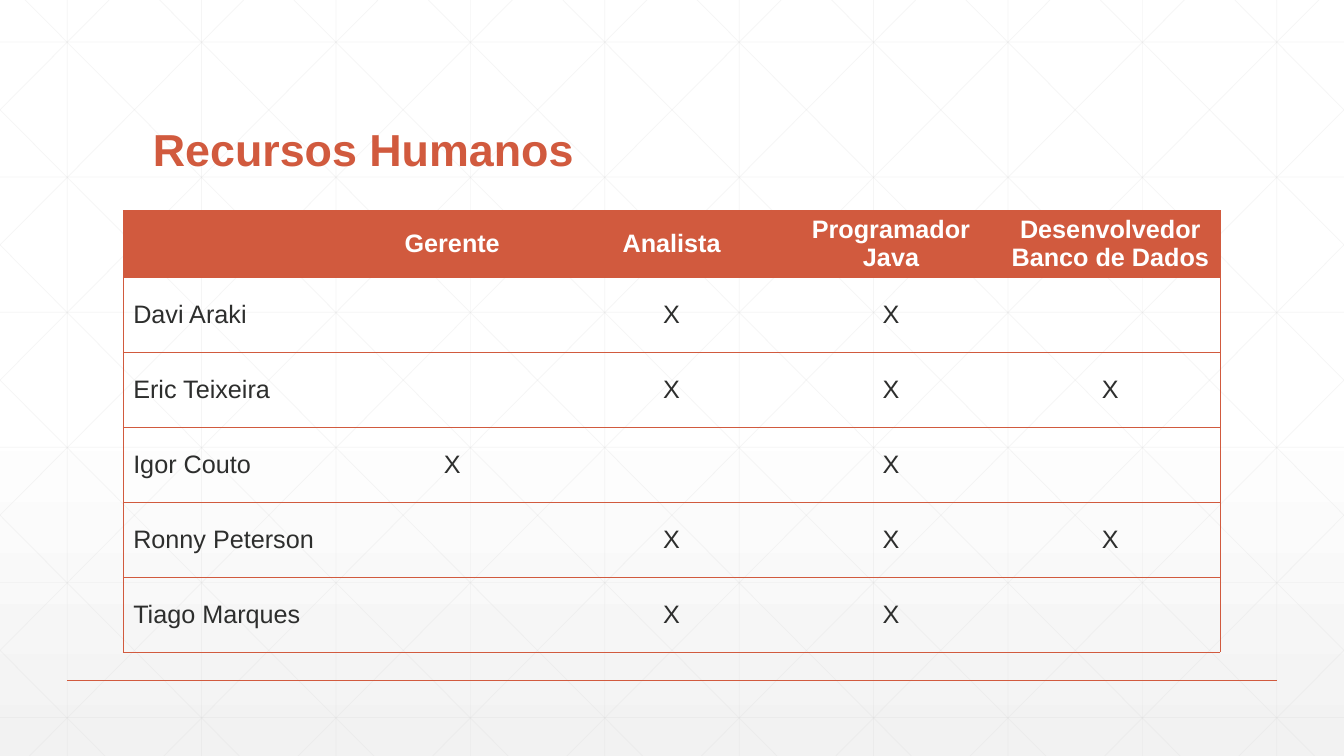
import pptx
import pptx.dml.color
import pptx.enum.shapes
import pptx.enum.text
import pptx.oxml
import pptx.oxml.ns
import pptx.util

Pt = pptx.util.Pt
RGB = pptx.dml.color.RGBColor
ALIGN = pptx.enum.text.PP_ALIGN
ANCHOR = pptx.enum.text.MSO_ANCHOR
qn = pptx.oxml.ns.qn

RUST = RGB(0xD1, 0x5A, 0x3E)
INK = RGB(0x2D, 0x2E, 0x2D)
WHITE = RGB(0xFF, 0xFF, 0xFF)
PALE = RGB(0xF2, 0xF2, 0xF2)
GRAY = RGB(0xD9, 0xD9, 0xD9)

WIDTH, HEIGHT = 960, 540
STEP = 96
PLAIN = "{2D5ABB26-0587-4C30-8999-92F81FD0307C}"  # no style, no grid

ROWS = [
    ["", "Gerente", "Analista", "Programador Java",
     "Desenvolvedor\nBanco de Dados"],
    ["Davi Araki", "", "X", "X", ""],
    ["Eric Teixeira", "", "X", "X", "X"],
    ["Igor Couto", "X", "", "X", ""],
    ["Ronny Peterson", "", "X", "X", "X"],
    ["Tiago Marques", "", "X", "X", ""],
]


def add_line(slide, x1, y1, x2, y2, color, width, alpha=None):
    line = slide.shapes.add_connector(
        pptx.enum.shapes.MSO_CONNECTOR.STRAIGHT,
        Pt(x1), Pt(y1), Pt(x2), Pt(y2))
    line.line.color.rgb = color
    line.line.width = Pt(width)
    props = line._element.spPr
    if alpha:
        tone = next(props.iter(qn("a:srgbClr")))
        tone.append(pptx.oxml.parse_xml(
            f'<a:alpha {pptx.oxml.ns.nsdecls("a")} val="{alpha * 1000}"/>'))
    props.append(pptx.oxml.parse_xml(
        f'<a:effectLst {pptx.oxml.ns.nsdecls("a")}/>'))


def set_back(slide):
    fill = slide.background.fill
    fill.gradient()
    fill.gradient_angle = 270
    for stop, place, color in zip(fill.gradient_stops, (0.53, 1), (WHITE, PALE)):
        stop.position = place
        stop.color.rgb = color


def add_grid(slide):
    lines = [(x, 0, x, HEIGHT) for x in range(48, WIDTH, STEP)]
    lines += [(0, 30 + 96.5 * i, WIDTH, 30 + 96.5 * i) for i in range(6)]
    # Diagonals, cut at the slide edges, each with its mirror image
    run = 537
    slope = HEIGHT / run
    for start in range(18 - 5 * STEP, WIDTH, STEP):
        x1, x2 = max(start, 0), min(start + run, WIDTH)
        y1, y2 = (x1 - start) * slope, (x2 - start) * slope
        lines += [(x1, y1, x2, y2), (WIDTH - x1, y1, WIDTH - x2, y2)]
    for ends in lines:
        add_line(slide, *ends, GRAY, 0.5, alpha=25)


def set_title(slide, text):
    title = slide.shapes.title
    title.left, title.top = Pt(102), Pt(39.6)
    title.width, title.height = Pt(756), Pt(90)
    frame = title.text_frame
    frame.text = text
    frame.vertical_anchor = ANCHOR.BOTTOM
    para = frame.paragraphs[0]
    para.alignment = ALIGN.LEFT
    para.line_spacing = 0.9
    set_font(para, 32, RUST, True)
    slide.shapes._spTree.append(title._element)  # bring to front


def set_font(para, size, color, bold):
    font = para.font
    font.name, font.size, font.bold = "Arial", Pt(size), bold
    font.color.rgb = color


def set_edges(cell, sides):
    props = cell._tc.get_or_add_tcPr()
    for spot, side in enumerate(sides):
        props.insert(spot, pptx.oxml.parse_xml(
            f'<a:ln{side} {pptx.oxml.ns.nsdecls("a")} w="6350"><a:solidFill>'
            f'<a:srgbClr val="{RUST}"/></a:solidFill></a:ln{side}>'))


def fill_cell(cell, text, head, first, last):
    cell.text = text
    cell.vertical_anchor = ANCHOR.MIDDLE
    if head:
        cell.fill.solid()
        cell.fill.fore_color.rgb = RUST
    else:
        cell.fill.background()
    for para in cell.text_frame.paragraphs:
        para.alignment = ALIGN.LEFT if first else ALIGN.CENTER
        set_font(para, 18, WHITE if head else INK, head)
    set_edges(cell, "L" * first + "R" * last + "TB")


def add_table(slide, rows):
    count = len(rows[0])
    table = slide.shapes.add_table(
        len(rows), count, Pt(88), Pt(150.3), Pt(783.5), Pt(315.5)).table
    table._tbl.tblPr.find(qn("a:tableStyleId")).text = PLAIN
    for col in table.columns:
        col.width = Pt(156.7)
    for i, row in enumerate(rows):
        table.rows[i].height = Pt(53.6 if i else 47.5)
        for j, text in enumerate(row):
            fill_cell(table.cell(i, j), text, i == 0, j == 0, j == count - 1)


def main():
    deck = pptx.Presentation()
    deck.slide_width, deck.slide_height = Pt(WIDTH), Pt(HEIGHT)
    slide = deck.slides.add_slide(deck.slide_layouts[5])

    # Background, grid and footer rule
    set_back(slide)
    add_grid(slide)
    add_line(slide, 48, 486, 912, 486, RUST, 1)

    # Content
    set_title(slide, "Recursos Humanos")
    add_table(slide, ROWS)
    deck.save("out.pptx")


if __name__ == "__main__":
    main()
